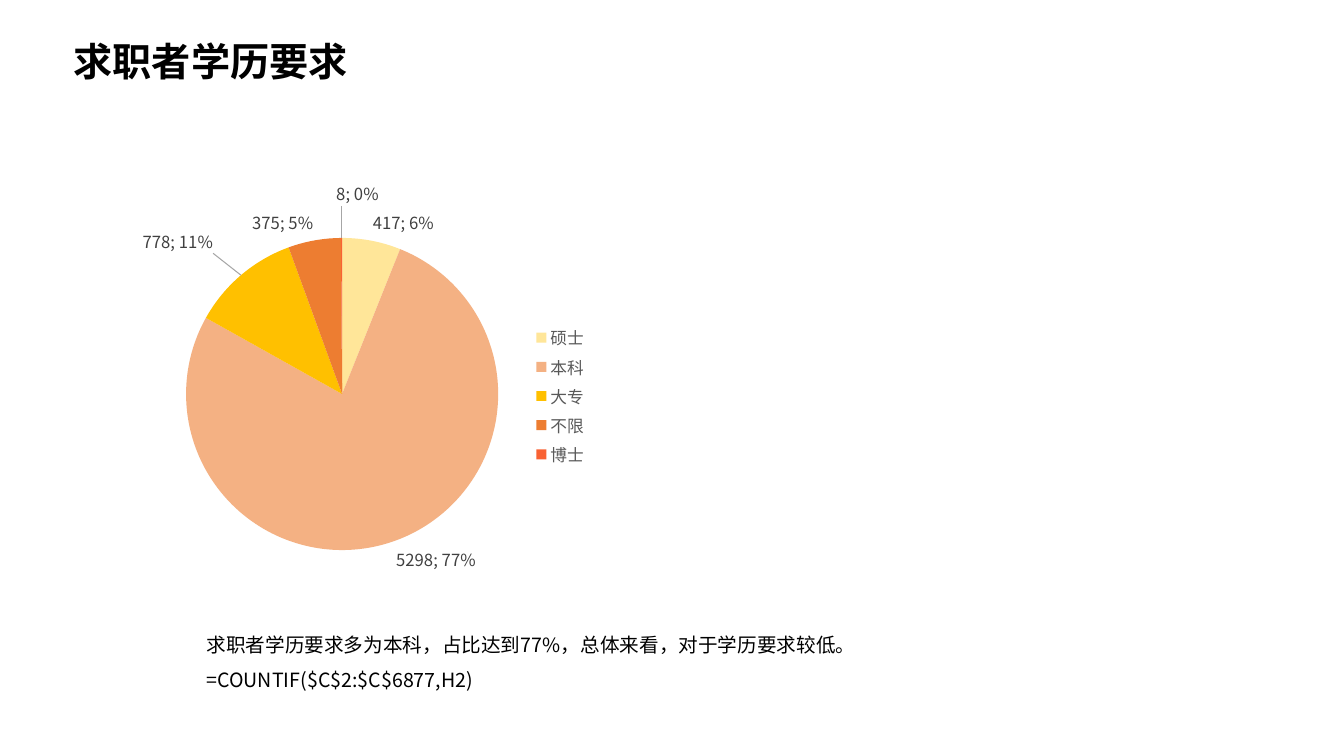
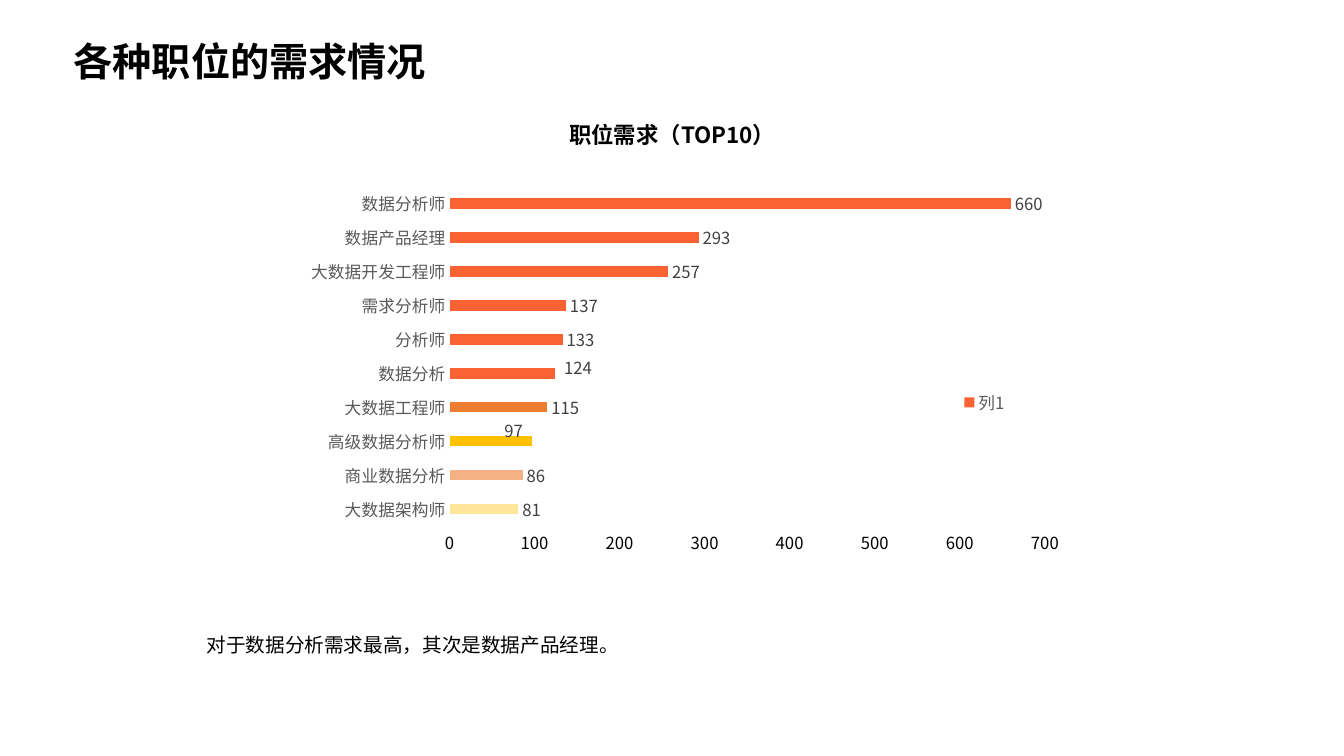
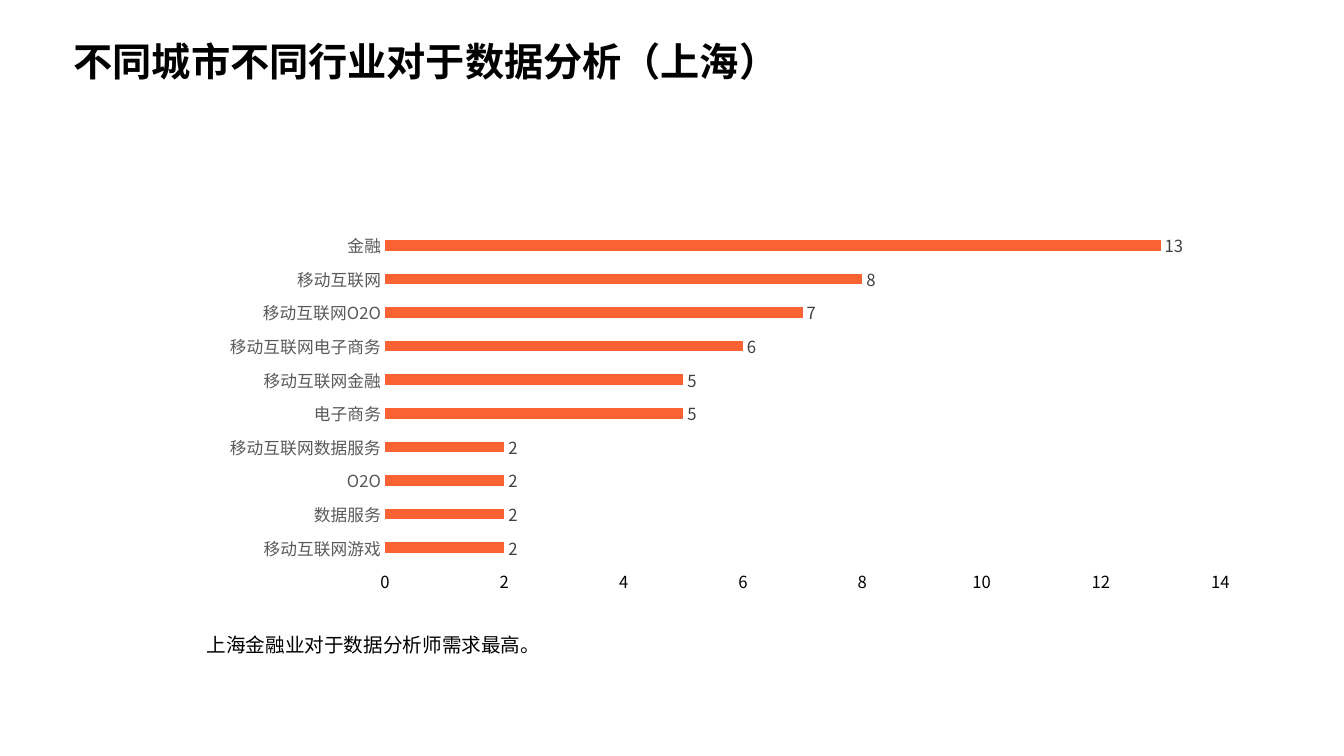
from dataclasses import dataclass, field

from lxml import etree
from pptx import Presentation
from pptx.chart.chart import Chart
from pptx.chart.data import CategoryChartData
from pptx.dml.color import RGBColor
from pptx.enum.chart import XL_CHART_TYPE, XL_LABEL_POSITION, XL_LEGEND_POSITION, XL_TICK_MARK
from pptx.enum.text import MSO_ANCHOR, MSO_AUTO_SIZE, PP_ALIGN
from pptx.oxml import parse_xml
from pptx.oxml.ns import nsdecls, qn
from pptx.slide import Slide
from pptx.text.text import Font, TextFrame
from pptx.util import Pt

PIE, BAR = XL_CHART_TYPE.PIE, XL_CHART_TYPE.BAR_CLUSTERED
OUTSIDE_END = XL_LABEL_POSITION.OUTSIDE_END
LEGEND_RIGHT = XL_LEGEND_POSITION.RIGHT
NO_TICK = XL_TICK_MARK.NONE
LEFT, CENTER, JUSTIFY = PP_ALIGN.LEFT, PP_ALIGN.CENTER, PP_ALIGN.JUSTIFY
TOP, MIDDLE = MSO_ANCHOR.TOP, MSO_ANCHOR.MIDDLE
FIXED_SIZE, GROW = MSO_AUTO_SIZE.NONE, MSO_AUTO_SIZE.SHAPE_TO_FIT_TEXT

FONT_NAME = "Noto Sans CJK SC"
BLACK, LABEL_GRAY, AXIS_GRAY, LEADER_GRAY = "000000", "404040", "595959", "A6A6A6"
ORANGE_RED = "F96233"
WARM_COLORS = ["FFE699", "F4B183", "FFC000", "ED7D31"]
CHART_TEXT = 11.9
TITLE_LAYOUT = 5


@dataclass
class Area:
    """A rectangle in points."""
    left: float
    top: float
    width: float
    height: float


@dataclass
class TextStyle:
    """The look of a block of text."""
    size: float
    bold: bool = False
    align: PP_ALIGN = LEFT
    anchor: MSO_ANCHOR = TOP
    spacing: float = 1.0
    sizing: MSO_AUTO_SIZE = GROW


@dataclass
class ChartSpec:
    """Data and layout of a chart; fractions refer to the chart area."""
    kind: XL_CHART_TYPE
    area: Area
    plot: tuple[float, float, float, float]
    series_name: str
    values: dict[str, float]
    point_colors: list[str] = field(default_factory=list)
    label_shifts: dict[int, tuple[float, float]] = field(default_factory=dict)
    has_legend: bool = False
    legend_corner: tuple[float, float] | None = None
    axis_top: float = 0
    axis_step: float = 0


@dataclass
class Page:
    """One slide: title, chart, caption and optional chart heading."""
    title: str
    caption: str
    caption_height: float
    chart: ChartSpec
    heading: str = ""


TITLE_AREA = Area(45.4, 15.8, 626.4, 59)
HEADING_AREA = Area(260.6, 82.8, 439.2, 26.6)
TITLE_STYLE = TextStyle(28, True, LEFT, MIDDLE, 0.9, FIXED_SIZE)
HEADING_STYLE = TextStyle(16, True, CENTER)
CAPTION_STYLE = TextStyle(14, align=JUSTIFY, spacing=1.5)

PAGES = [
    Page(
        "求职者学历要求",
        "求职者学历要求多为本科，占比达到77%，总体来看，对于学历要求较低。\n=COUNTIF($C$2:$C$6877,H2)",
        55.4,
        ChartSpec(
            PIE, Area(45.4, 127.4, 381.6, 311), (0.096, 0.137, 0.851, 0.717), "Series 1",
            {"硕士": 417, "本科": 5298, "大专": 778, "不限": 375, "博士": 8},
            point_colors=WARM_COLORS + [ORANGE_RED],
            label_shifts={2: (-0.045, -0.04), 4: (0.03, -0.06)},
            has_legend=True,
        ),
    ),
    Page(
        "各种职位的需求情况",
        "对于数据分析需求最高，其次是数据产品经理。",
        29.5,
        ChartSpec(
            BAR, Area(152.6, 101.5, 626.4, 311), (0.269, 0.102, 0.679, 0.78), "列1",
            {"大数据架构师": 81, "商业数据分析": 86, "高级数据分析师": 97, "大数据工程师": 115,
             "数据分析": 124, "分析师": 133, "需求分析师": 137, "大数据开发工程师": 257,
             "数据产品经理": 293, "数据分析师": 660},
            point_colors=WARM_COLORS,
            label_shifts={2: (-0.036, -0.025), 4: (0.006, -0.014)},
            has_legend=True, legend_corner=(0.85, 0.56), axis_top=700, axis_step=100,
        ),
        heading="职位需求（TOP10）",
    ),
    Page(
        "不同城市不同行业对于数据分析（上海）",
        "上海金融业对于数据分析师需求最高。",
        29.5,
        ChartSpec(
            BAR, Area(109.4, 117.4, 804.2, 334.8), (0.206, 0.137, 0.742, 0.717), "Series 1",
            {"移动互联网游戏": 2, "数据服务": 2, "O2O": 2, "移动互联网数据服务": 2,
             "电子商务": 5, "移动互联网金融": 5, "移动互联网电子商务": 6,
             "移动互联网O2O": 7, "移动互联网": 8, "金融": 13},
            axis_top=14, axis_step=2,
        ),
    ),
]


def rgb(color: str) -> RGBColor:
    """Turn a hex string into a colour."""
    return RGBColor.from_string(color)


def format_font(font: Font, size: float, color: str = BLACK, bold: bool = False) -> None:
    """Set size, colour, weight and both Latin and East Asian typefaces."""
    font.size, font.bold, font.name = Pt(size), bold, FONT_NAME
    font.color.rgb = rgb(color)
    etree.SubElement(font._rPr, qn("a:ea")).set("typeface", FONT_NAME)


def place(area: Area) -> tuple[Pt, Pt, Pt, Pt]:
    """Give an area as lengths."""
    return Pt(area.left), Pt(area.top), Pt(area.width), Pt(area.height)


def write_text(frame: TextFrame, text: str, style: TextStyle) -> None:
    """Fill a text frame, one paragraph a line."""
    frame.text = text
    frame.word_wrap, frame.auto_size = True, style.sizing
    frame.vertical_anchor = style.anchor
    for para in frame.paragraphs:
        para.alignment, para.line_spacing = style.align, style.spacing
        para.space_before = Pt(0)
        for span in para.runs:
            format_font(span.font, style.size, bold=style.bold)


def add_text(slide: Slide, area: Area, text: str, style: TextStyle) -> None:
    """Add a text box."""
    write_text(slide.shapes.add_textbox(*place(area)).text_frame, text, style)


def manual_layout(values: dict[str, float | str]) -> etree._Element:
    """Build a chart layout element from its child names and values."""
    layout = parse_xml(f"<c:layout {nsdecls('c')}><c:manualLayout/></c:layout>")
    for name, value in values.items():
        etree.SubElement(layout[0], qn(f"c:{name}")).set("val", str(value))
    return layout


def fix_plot(chart: Chart, plot: tuple[float, float, float, float]) -> None:
    """Pin the inner plot area."""
    plot_area = chart._chartSpace.find(".//" + qn("c:plotArea"))
    for old_layout in plot_area.findall(qn("c:layout")):
        plot_area.remove(old_layout)
    values = {"layoutTarget": "inner", "xMode": "edge", "yMode": "edge"}
    plot_area.insert(0, manual_layout(values | dict(zip("xywh", plot))))


def add_legend(chart: Chart, corner: tuple[float, float] | None) -> None:
    """Show the legend at the right, or at a given corner point."""
    chart.has_legend = True
    legend = chart.legend
    legend.position, legend.include_in_layout = LEGEND_RIGHT, False
    format_font(legend.font, CHART_TEXT, AXIS_GRAY)
    if corner:
        element = legend._element
        for old_layout in element.findall(qn("c:layout")):
            element.remove(old_layout)
        values = {"xMode": "edge", "yMode": "edge"} | dict(zip("xy", corner))
        element.find(qn("c:legendPos")).addnext(manual_layout(values))


def show_percent(labels: etree._Element) -> None:
    """Add the percentage after the value."""
    labels.find(qn("c:showPercent")).set("val", "1")
    separator = parse_xml(f"<c:separator {nsdecls('c')}>; </c:separator>")
    labels.find(qn("c:showBubbleSize")).addnext(separator)


def add_labels(chart: Chart, spec: ChartSpec) -> None:
    """Label all points and shift the chosen labels."""
    series = chart.plots[0].series[0]
    labels = series.data_labels
    labels.show_value, labels.position = True, OUTSIDE_END
    format_font(labels.font, CHART_TEXT, LABEL_GRAY)
    element = labels._element
    leader = element.find(qn("c:showLeaderLines"))
    if spec.kind == PIE:
        show_percent(element)
        leader.addnext(parse_xml(
            f"<c:leaderLines {nsdecls('c', 'a')}><c:spPr><a:ln w='9525'><a:solidFill>"
            f"<a:srgbClr val='{LEADER_GRAY}'/></a:solidFill></a:ln></c:spPr></c:leaderLines>"))
    else:
        leader.set("val", "0")
    for index, shift in spec.label_shifts.items():
        label = series.points[index].data_label
        label.position = OUTSIDE_END
        format_font(label.font, CHART_TEXT, LABEL_GRAY)
    for label, shift in zip(element.findall(qn("c:dLbl")), spec.label_shifts.values()):
        label.insert(1, manual_layout(dict(zip("xy", shift))))
        if spec.kind == PIE:
            show_percent(label)


def format_axes(chart: Chart, spec: ChartSpec) -> None:
    """Leave only the axis texts."""
    for axis, color in ((chart.category_axis, AXIS_GRAY), (chart.value_axis, BLACK)):
        axis.major_tick_mark = axis.minor_tick_mark = NO_TICK
        axis.has_major_gridlines = False
        axis.format.line.fill.background()
        format_font(axis.tick_labels.font, CHART_TEXT, color)
    chart.value_axis.minimum_scale = 0
    chart.value_axis.maximum_scale = spec.axis_top
    chart.value_axis.major_unit = spec.axis_step


def add_chart(slide: Slide, spec: ChartSpec) -> None:
    """Add a pie or bar chart."""
    data = CategoryChartData()
    data.categories = list(spec.values)
    data.add_series(spec.series_name, list(spec.values.values()))
    chart = slide.shapes.add_chart(spec.kind, *place(spec.area), data).chart
    chart.has_title = chart.has_legend = False
    format_font(chart.font, 10)
    plot = chart.plots[0]
    plot.vary_by_categories = spec.kind == PIE
    series = plot.series[0]
    if spec.kind == BAR:
        plot.gap_width = 219
        series.format.fill.solid()
        series.format.fill.fore_color.rgb = rgb(ORANGE_RED)
        format_axes(chart, spec)
    for index, color in enumerate(spec.point_colors):
        fill = series.points[index].format.fill
        fill.solid()
        fill.fore_color.rgb = rgb(color)
    add_labels(chart, spec)
    fix_plot(chart, spec.plot)
    if spec.has_legend:
        add_legend(chart, spec.legend_corner)


def add_page(deck: Presentation, page: Page) -> None:
    """Add one slide with its title, chart and texts."""
    slide = deck.slides.add_slide(deck.slide_layouts[TITLE_LAYOUT])
    title = slide.shapes.title
    title.left, title.top, title.width, title.height = place(TITLE_AREA)
    write_text(title.text_frame, page.title, TITLE_STYLE)
    add_chart(slide, page.chart)
    add_text(slide, Area(140.4, 440, 720.7, page.caption_height), page.caption, CAPTION_STYLE)
    if page.heading:
        add_text(slide, HEADING_AREA, page.heading, HEADING_STYLE)


def main() -> None:
    """Build and save the deck."""
    deck = Presentation()
    deck.slide_width, deck.slide_height = Pt(960), Pt(540)
    for page in PAGES:
        add_page(deck, page)
    deck.save("out.pptx")


main()
